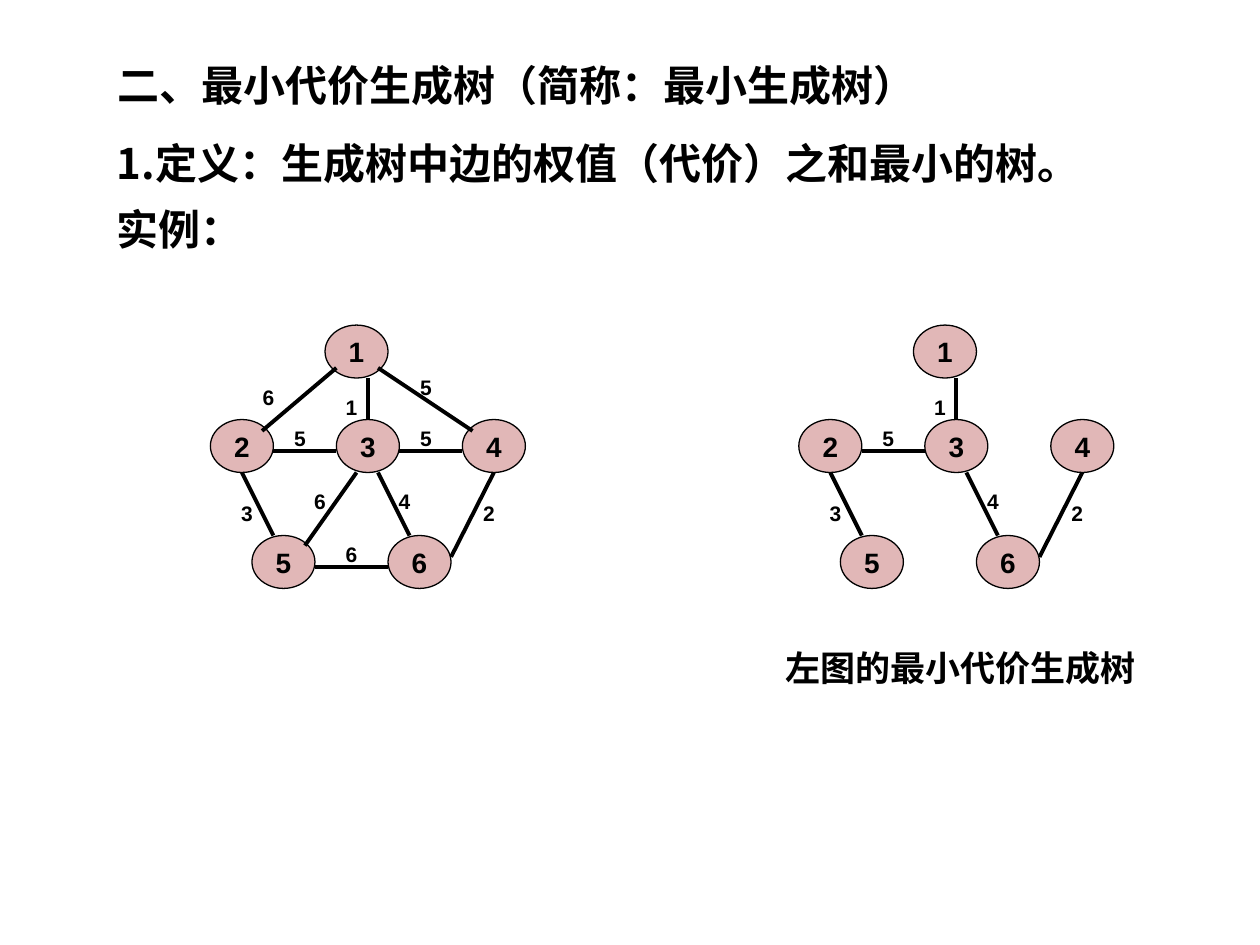
from lxml import etree
from pptx import Presentation
from pptx.dml.color import RGBColor
from pptx.enum.shapes import MSO_CONNECTOR, MSO_SHAPE
from pptx.enum.text import MSO_ANCHOR, PP_ALIGN
from pptx.oxml.ns import qn
from pptx.util import Inches, Pt

OVAL = MSO_SHAPE.OVAL
STRAIGHT = MSO_CONNECTOR.STRAIGHT
MIDDLE = MSO_ANCHOR.MIDDLE
LEFT, CENTER = PP_ALIGN.LEFT, PP_ALIGN.CENTER
TITLE_ONLY = 5

COLORS = {"ink": "000000", "node": "E1B7B7"}
LATIN, CJK = "Arial", "Noto Sans CJK SC"
NODE_SIZE = (0.5, 0.42)
LABEL_SIZE = (0.42, 0.3)
TREE_SHIFT = 4.67

NODES = {
    1: (2.58, 2.58),
    2: (1.67, 3.33),
    3: (2.67, 3.33),
    4: (3.67, 3.33),
    5: (2, 4.25),
    6: (3.08, 4.25),
}
EDGES = {
    (1, 2): ((2.67, 2.92), (2.08, 3.42), 6, (1.92, 3)),
    (1, 3): ((2.92, 3), (2.92, 3.33), 1, (2.58, 3.08)),
    (1, 4): ((3, 2.92), (3.75, 3.42), 5, (3.17, 2.92)),
    (2, 3): ((2.17, 3.58), (2.67, 3.58), 5, (2.17, 3.33)),
    (3, 4): ((3.17, 3.58), (3.67, 3.58), 5, (3.17, 3.33)),
    (2, 5): ((1.92, 3.75), (2.17, 4.25), 3, (1.75, 3.92)),
    (3, 5): ((2.83, 3.75), (2.42, 4.33), 6, (2.33, 3.83)),
    (3, 6): ((3, 3.75), (3.25, 4.25), 4, (3, 3.83)),
    (4, 6): ((3.92, 3.75), (3.58, 4.42), 2, (3.67, 3.92)),
    (5, 6): ((2.5, 4.5), (3.08, 4.5), 6, (2.58, 4.25)),
}
TREE_EDGES = [(1, 3), (2, 3), (2, 5), (3, 6), (4, 6)]


def rgb(name):
    return RGBColor.from_string(COLORS[name])


class SlideBuilder:
    def __init__(self, slide):
        self.slide = slide

    def set_text(self, s, lines, size, font=LATIN, align=CENTER, gap=0, wrap=True):
        tf = s.text_frame
        tf.word_wrap = wrap
        tf.vertical_anchor = MIDDLE
        for i, line in enumerate(lines):
            p = tf.add_paragraph() if i else tf.paragraphs[0]
            p.alignment = align
            p.space_before = Pt(gap if i else 0)
            r = p.add_run()
            r.text = line
            for name, value in {"size": Pt(size), "name": font, "bold": True}.items():
                setattr(r.font, name, value)
            r.font.color.rgb = rgb("ink")
            ea = etree.SubElement(r.font._element, qn("a:ea"))
            ea.set("typeface", CJK)

    def title(self, text, box):
        s = self.slide.shapes.title
        s.left, s.top, s.width, s.height = map(Inches, box)
        self.set_text(s, [text], 24, align=LEFT)

    def text(self, lines, box, size, parent=None, **style):
        shapes = (parent or self.slide).shapes
        self.set_text(shapes.add_textbox(*map(Inches, box)), lines, size, **style)

    def node(self, parent, number, corner):
        s = parent.shapes.add_shape(OVAL, *map(Inches, corner + NODE_SIZE))
        s.shadow.inherit = False
        s.fill.solid()
        s.fill.fore_color.rgb = rgb("node")
        s.line.color.rgb = rgb("ink")
        s.line.width = Pt(0.75)
        self.set_text(s, [str(number)], 16, wrap=False)

    def edge(self, parent, start, end):
        s = parent.shapes.add_connector(STRAIGHT, *map(Inches, start + end))
        s.line.color.rgb = rgb("ink")
        s.line.width = Pt(2.25)
        etree.SubElement(s._element.spPr, qn("a:effectLst"))

    def graph(self, edges, dx=0):
        def shift(point):
            return point[0] + dx, point[1]

        group = self.slide.shapes.add_group_shape()
        for number, corner in NODES.items():
            self.node(group, number, shift(corner))
        for key in edges:
            start, end, _, _ = EDGES[key]
            self.edge(group, shift(start), shift(end))
        for key in edges:
            _, _, weight, corner = EDGES[key]
            self.text([str(weight)], shift(corner) + LABEL_SIZE, 12, parent=group)


def main():
    prs = Presentation()
    prs.slide_width, prs.slide_height = Inches(10), Inches(7.5)
    slide = SlideBuilder(prs.slides.add_slide(prs.slide_layouts[TITLE_ONLY]))
    slide.title("二、最小代价生成树（简称：最小生成树）", (0.83, 0.42, 8.67, 0.5))
    slide.text(
        ["1.定义：生成树中边的权值（代价）之和最小的树。", "实例："],
        (0.83, 1, 8.67, 1.11), 24, font=CJK, align=LEFT, gap=9,
    )
    slide.graph(EDGES)
    slide.graph(TREE_EDGES, TREE_SHIFT)
    slide.text(["左图的最小代价生成树"], (6, 5.08, 3.25, 0.44), 20)
    prs.save("out.pptx")


if __name__ == "__main__":
    main()
